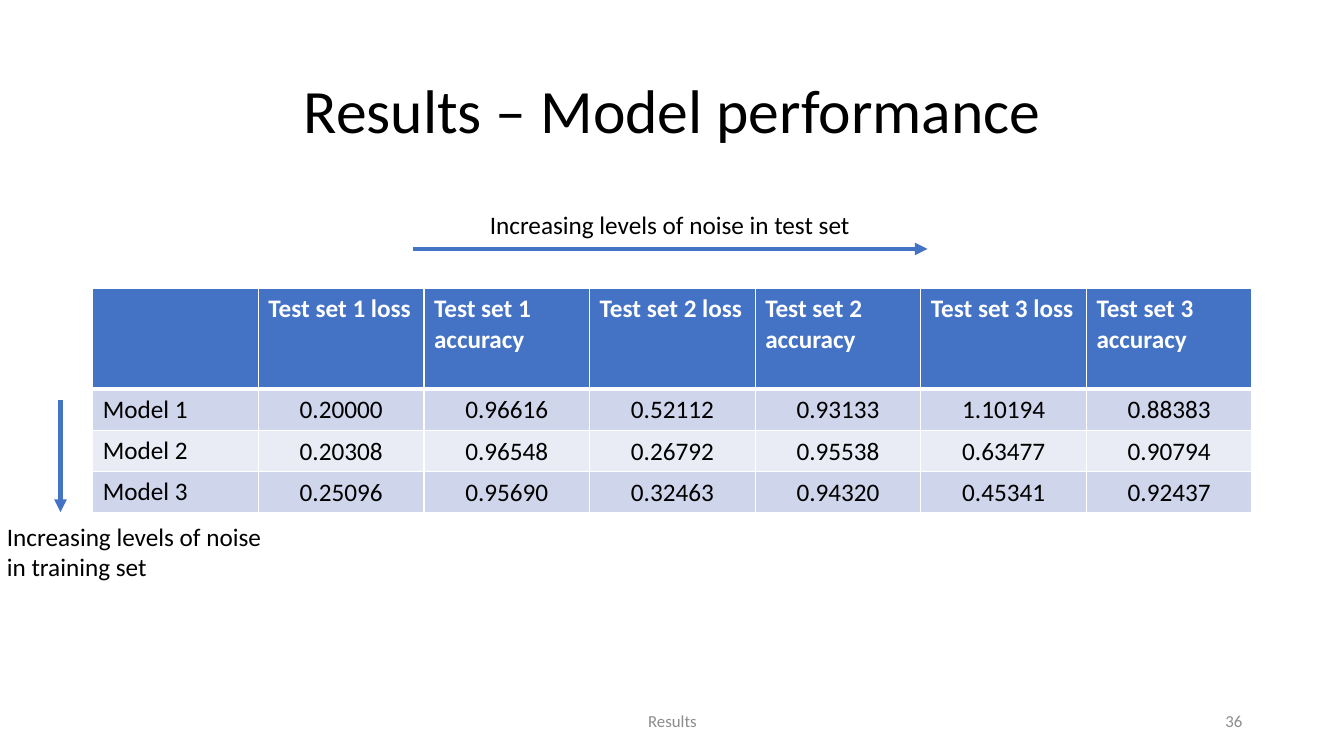
import pptx
import pptx.util
import pptx.dml.color
import pptx.enum.shapes
import pptx.enum.text
import pptx.oxml
import pptx.oxml.ns

ALIGN = pptx.enum.text.PP_ALIGN
ANCHOR = pptx.enum.text.MSO_ANCHOR
EMU_PER_PX = 9144  # 100 px to the inch
BLACK, WHITE, GREY, BLUE = "000000", "FFFFFF", "8C8C8C", "4472C4"
BANDS = ["CFD5EA", "E9EBF5"]


def px(length):
    return pptx.util.Emu(round(length * EMU_PER_PX))


def rgb(colour):
    return pptx.dml.color.RGBColor.from_string(colour)


def xml(tag, body="", attributes=""):
    namespace = pptx.oxml.ns.nsdecls("a")
    return pptx.oxml.parse_xml(f"<a:{tag} {namespace} {attributes}>{body}</a:{tag}>")


class SlideBuilder:
    font = "Calibri"

    def __init__(self, slide):
        self.slide = slide

    def set_text(self, frame, text, size, colour, align=ALIGN.LEFT, bold=False, spacing=None):
        frame.text = text
        for paragraph in frame.paragraphs:
            paragraph.alignment = align
            paragraph.line_spacing = spacing
            for run in paragraph.runs:
                run.font.name = self.font
                run.font.size = pptx.util.Pt(size)
                run.font.bold = bold
                run.font.color.rgb = rgb(colour)

    def title(self, text, left, top, width, height):
        heading = self.slide.shapes.title
        heading.left, heading.top = px(left), px(top)
        heading.width, heading.height = px(width), px(height)
        heading.text_frame.vertical_anchor = ANCHOR.MIDDLE
        self.set_text(heading.text_frame, text, 44, BLACK, ALIGN.CENTER, spacing=0.9)

    def text(self, text, left, top, width, height, size=18, colour=BLACK,
             align=ALIGN.LEFT, anchor=ANCHOR.TOP, wrap=False):
        box = self.slide.shapes.add_textbox(px(left), px(top), px(width), px(height))
        box.text_frame.word_wrap = wrap
        box.text_frame.vertical_anchor = anchor
        self.set_text(box.text_frame, text, size, colour, align)

    def arrow(self, x1, y1, x2, y2):
        straight = pptx.enum.shapes.MSO_CONNECTOR.STRAIGHT
        line = self.slide.shapes.add_connector(straight, px(x1), px(y1), px(x2), px(y2))
        line.line.color.rgb = rgb(BLUE)
        line.line.width = pptx.util.Pt(3)
        properties = line._element.spPr
        properties.find(pptx.oxml.ns.qn("a:ln")).append(
            xml("tailEnd", attributes='type="triangle"'))
        properties.append(xml("effectLst"))

    def borders(self, cell, **widths):
        properties = cell._tc.get_or_add_tcPr()
        for position, side in enumerate("LRTB"):
            width = pptx.util.Pt(widths.get(side, 1))
            fill = f'<a:solidFill><a:srgbClr val="{WHITE}"/></a:solidFill>'
            properties.insert(position, xml(f"ln{side}", fill, f'w="{width}"'))

    def table(self, header, rows, left, top, width, header_height, row_height):
        height = header_height + row_height * len(rows)
        grid = self.slide.shapes.add_table(
            len(rows) + 1, len(header), px(left), px(top), px(width), px(height)).table
        for column in grid.columns:
            column.width = px(width / len(header))
        for r, values in enumerate([header] + rows):
            grid.rows[r].height = px(row_height if r else header_height)
            for c, value in enumerate(values):
                cell = grid.cell(r, c)
                cell.fill.solid()
                cell.fill.fore_color.rgb = rgb(BANDS[(r - 1) % 2] if r else BLUE)
                is_score = r > 0 and c > 0
                if is_score:
                    cell.vertical_anchor = ANCHOR.MIDDLE
                    cell.margin_left = cell.margin_right = cell.margin_top = px(1)
                    cell.margin_bottom = 0
                self.set_text(cell.text_frame, value, 18, BLACK if r else WHITE,
                              ALIGN.CENTER if is_score else ALIGN.LEFT, bold=r == 0)
                self.borders(cell, T=3 if r == 1 else 1, B=3 if r == 0 else 1)


def main():
    deck = pptx.Presentation()
    deck.slide_width, deck.slide_height = px(1333), px(750)
    results = SlideBuilder(deck.slides.add_slide(deck.slide_layouts[5]))

    # Title and footer
    results.title("Results – Model performance", 92, 40, 1150, 145)
    for label, left, width, align in [("Results", 442, 450, ALIGN.CENTER),
                                      ("36", 942, 300, ALIGN.RIGHT)]:
        results.text(label, left, 695, width, 40, 12, GREY, align, ANCHOR.MIDDLE, True)

    # Scores of each model on each test set
    header = [""] + [f"Test set {n} {measure}"
                     for n in (1, 2, 3) for measure in ("loss", "accuracy")]
    scores = [
        ["Model 1", "0.20000", "0.96616", "0.52112", "0.93133", "1.10194", "0.88383"],
        ["Model 2", "0.20308", "0.96548", "0.26792", "0.95538", "0.63477", "0.90794"],
        ["Model 3", "0.25096", "0.95690", "0.32463", "0.94320", "0.45341", "0.92437"],
    ]
    results.table(header, scores, 92, 286, 1150, 100, 41)

    # Noise directions
    results.arrow(410, 247, 920, 247)
    results.text("Increasing levels of noise in test set", 476, 203, 381, 40)
    results.arrow(60, 397, 60, 508)
    results.text("Increasing levels of noise\nin training set", -3, 512, 275, 71)

    deck.save("out.pptx")


if __name__ == "__main__":
    main()
